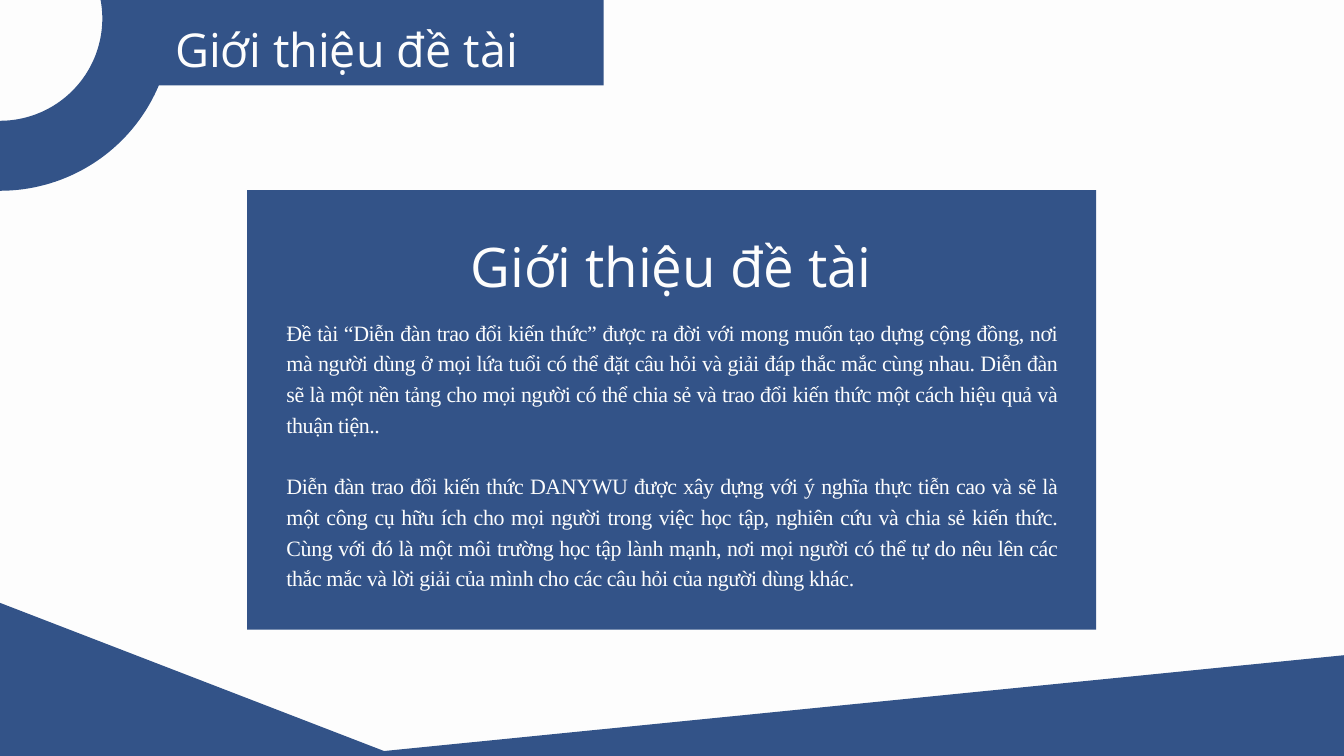
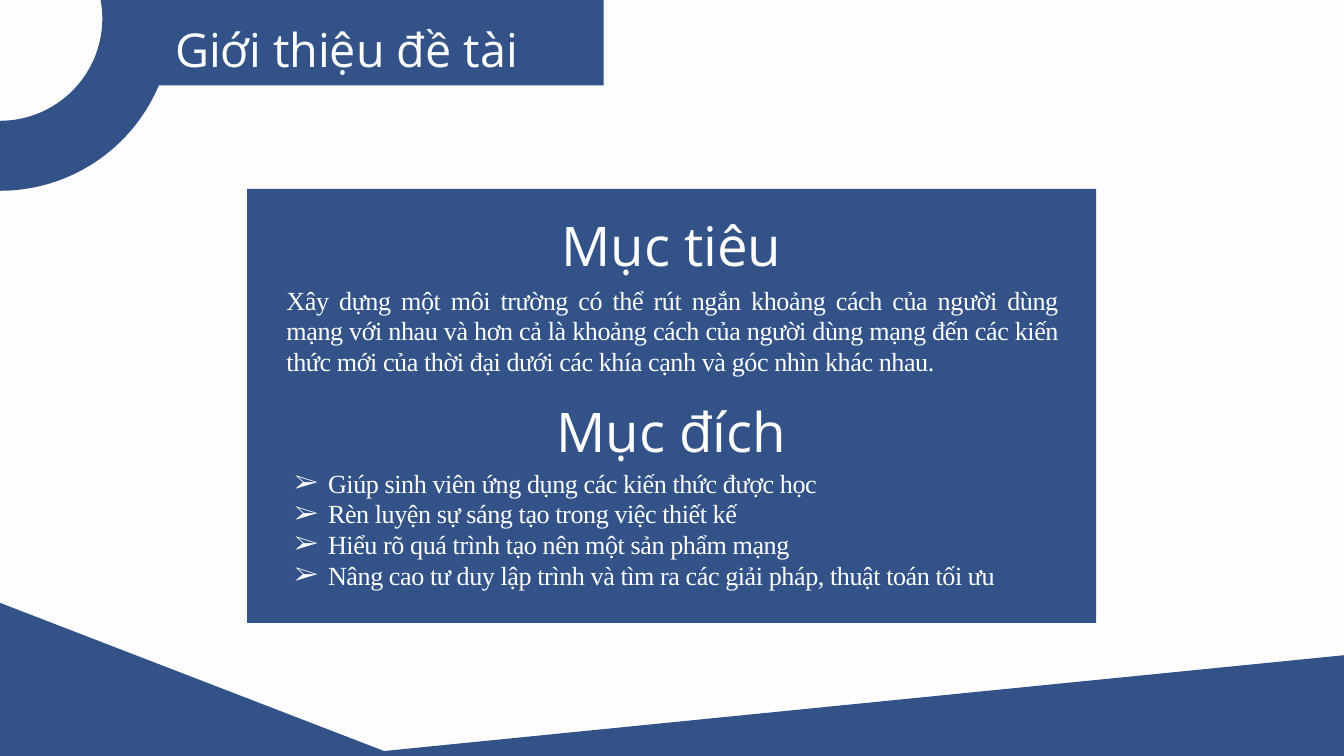
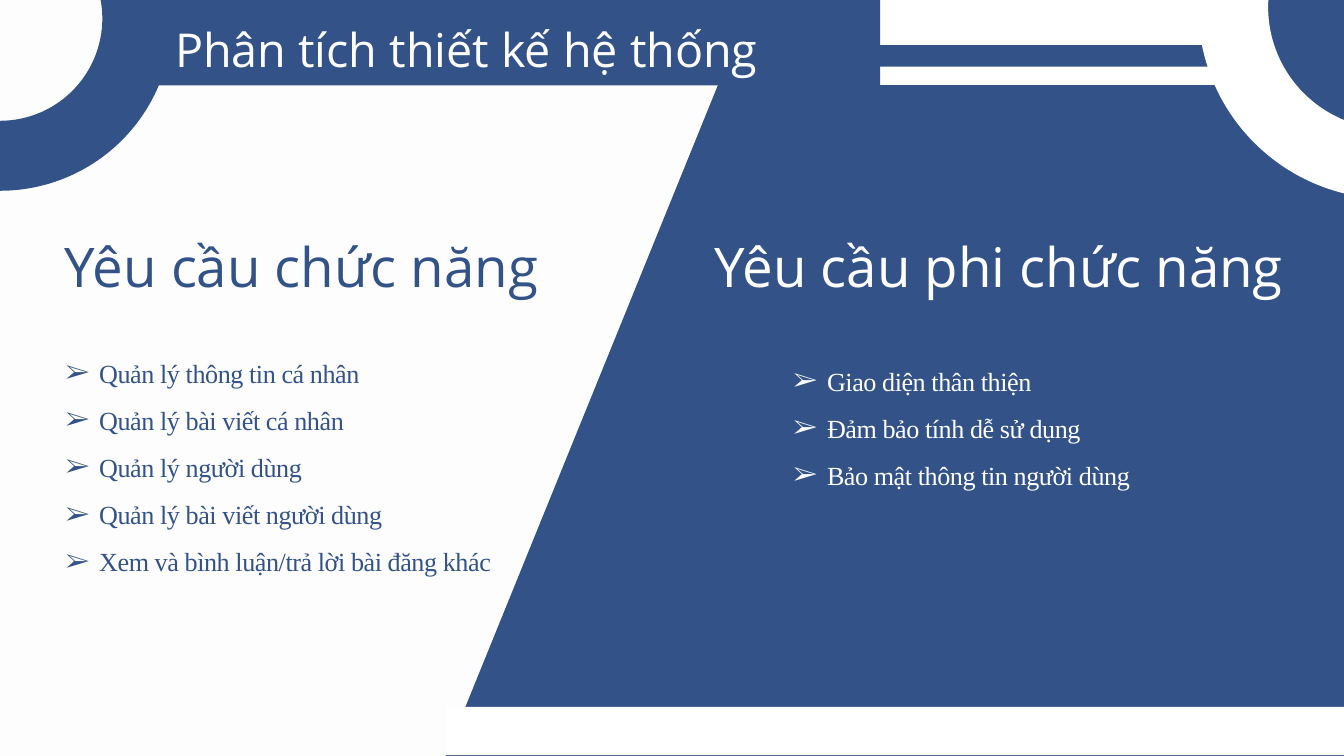
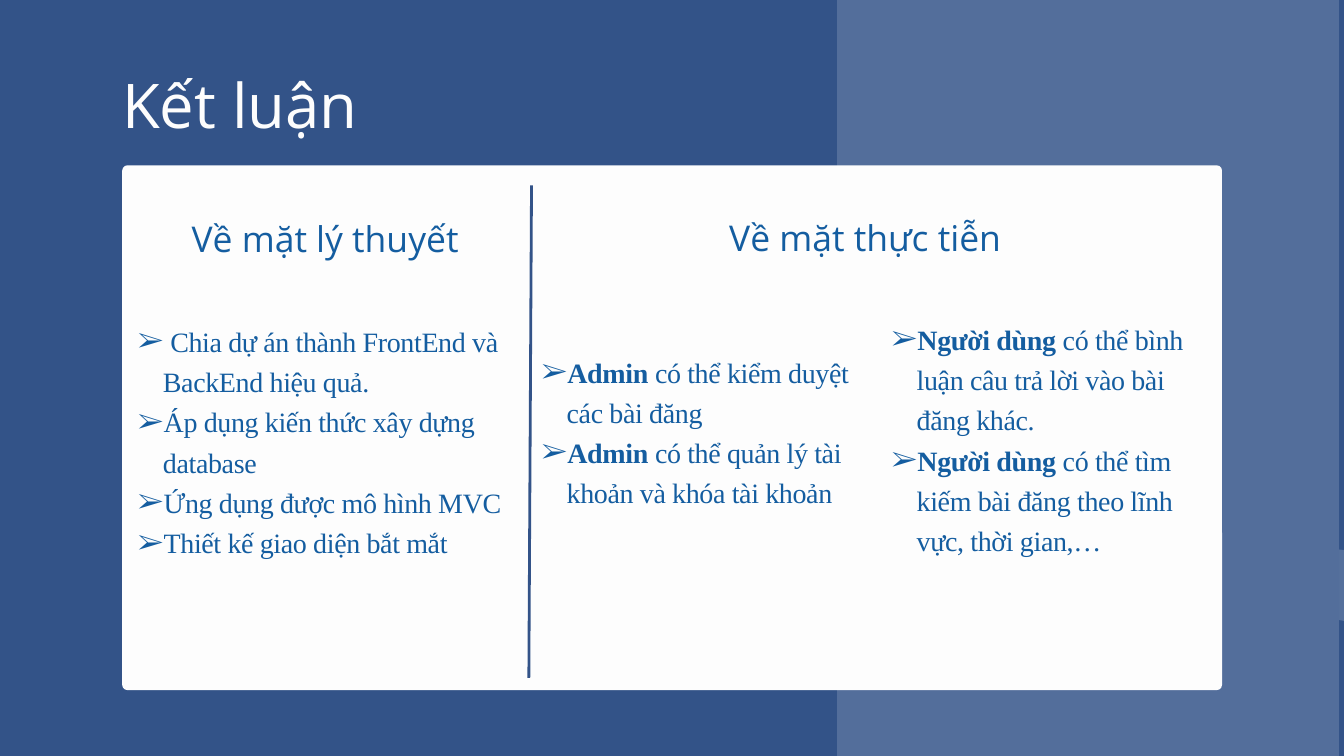
from lxml.etree import SubElement
from pptx import Presentation
from pptx.dml.color import RGBColor
from pptx.enum.shapes import MSO_CONNECTOR, MSO_SHAPE
from pptx.enum.text import MSO_AUTO_SIZE, PP_ALIGN
from pptx.oxml.ns import qn
from pptx.util import Cm, Pt

NAVY = RGBColor(0x33, 0x53, 0x88)
STEEL = RGBColor(0x53, 0x6E, 0x9B)
BLUE = RGBColor(0x14, 0x5D, 0xA0)
PAPER = RGBColor(0xFD, 0xFD, 0xFD)
WHITE = RGBColor(0xFF, 0xFF, 0xFF)

SANS, SERIF = "Open Sans", "Times New Roman"
WIDTH, HEIGHT = 50.8, 28.58
CARD_X, CARD_W = 9.34, 32.09
BODY_X, BODY_W = 10.83, 29.16
HEAD_Y, HEAD_H = 8.38, 2.72
RING_WIDTH = Pt(75)


def style(name, size, align, spacing, tracking=0, indent=0, after=0):
    return {
        "font": {"name": name, "size": Pt(size)},
        "para": {"alignment": align, "line_spacing": spacing, "space_after": Pt(after)},
        "tracking": tracking,
        "indent": indent,
    }


STYLES = {
    "header": style(SANS, 50, PP_ALIGN.LEFT, Pt(82)),
    "heading": style(SANS, 58.5, PP_ALIGN.CENTER, Pt(82)),
    "title": style(SANS, 66, PP_ALIGN.LEFT, Pt(92.5)),
    "column": style(SANS, 38, PP_ALIGN.CENTER, Pt(37.6)),
    "intro": style(SERIF, 23.5, PP_ALIGN.JUSTIFY, Pt(32.9), -46, after=32.9),
    "body": style(SERIF, 28, PP_ALIGN.JUSTIFY, Pt(32.9), -46),
    "goals": style(SERIF, 28, PP_ALIGN.JUSTIFY, Pt(32.9), -46, 1.27),
    "needs": style(SERIF, 28, PP_ALIGN.JUSTIFY, 1.5, -46, 1.27),
    "results": style(SERIF, 30, PP_ALIGN.LEFT, 1.2, -40, 0.95),
}

TOPIC = "Giới thiệu đề tài"
INTRO = [
    "Đề tài “Diễn đàn trao đổi kiến thức” được ra đời với mong muốn tạo dựng cộng đồng, "
    "nơi mà người dùng ở mọi lứa tuổi có thể đặt câu hỏi và giải đáp thắc mắc cùng nhau. "
    "Diễn đàn sẽ là một nền tảng cho mọi người có thể chia sẻ và trao đổi kiến thức một "
    "cách hiệu quả và thuận tiện..",
    "Diễn đàn trao đổi kiến thức DANYWU được xây dựng với ý nghĩa thực tiễn cao và sẽ là "
    "một công cụ hữu ích cho mọi người trong việc học tập, nghiên cứu và chia sẻ kiến thức. "
    "Cùng với đó là một môi trường học tập lành mạnh, nơi mọi người có thể tự do nêu lên các "
    "thắc mắc và lời giải của mình cho các câu hỏi của người dùng khác.",
]
AIM = [
    "Xây dựng một môi trường có thể rút ngắn khoảng cách của người dùng mạng với nhau và hơn "
    "cả là khoảng cách của người dùng mạng đến các kiến thức mới của thời đại dưới các khía "
    "cạnh và góc nhìn khác nhau.",
]
GOALS = [
    "Giúp sinh viên ứng dụng các kiến thức được học",
    "Rèn luyện sự sáng tạo trong việc thiết kế",
    "Hiểu rõ quá trình tạo nên một sản phẩm mạng",
    "Nâng cao tư duy lập trình và tìm ra các giải pháp, thuật toán tối ưu",
]
FUNCTIONAL = [
    "Quản lý thông tin cá nhân",
    "Quản lý bài viết cá nhân",
    "Quản lý người dùng",
    "Quản lý bài viết người dùng",
    "Xem và bình luận/trả lời bài đăng khác",
]
NON_FUNCTIONAL = [
    "Giao diện thân thiện",
    "Đảm bảo tính dễ sử dụng",
    "Bảo mật thông tin người dùng",
]
THEORY = [
    " Chia dự án thành FrontEnd và BackEnd hiệu quả.",
    "Áp dụng kiến thức xây dựng database",
    "Ứng dụng được mô hình MVC",
    "Thiết kế giao diện bắt mắt",
]
ADMIN = [
    ("Admin ", "có thể kiểm duyệt các bài đăng"),
    ("Admin ", "có thể quản lý tài khoản và khóa tài khoản"),
]
USER = [
    ("Người dùng ", "có thể bình luận câu trả lời vào bài đăng khác."),
    ("Người dùng ", "có thể tìm kiếm bài đăng theo lĩnh vực, thời gian,…"),
]


def add_slide(prs, color):
    s = prs.slides.add_slide(prs.slide_layouts[6])
    s.background.fill.solid()
    s.background.fill.fore_color.rgb = color
    return s


def add_block(s, color, x, y, w, h, rotation=0, kind=MSO_SHAPE.RECTANGLE):
    sp = s.shapes.add_shape(kind, Cm(x), Cm(y), Cm(w), Cm(h))
    sp.shadow.inherit = False
    sp.rotation = rotation
    sp.fill.solid()
    sp.fill.fore_color.rgb = color
    sp.line.fill.background()
    return sp


def add_ring(s, color, x, y, size):
    sp = add_block(s, color, x, y, size, size, kind=MSO_SHAPE.OVAL)
    sp.fill.background()
    sp.line.color.rgb = color
    sp.line.width = RING_WIDTH
    return sp


def add_text(s, name, color, x, y, w, h, paragraphs):
    look = STYLES[name]
    tf = s.shapes.add_textbox(Cm(x), Cm(y), Cm(w), Cm(h)).text_frame
    frame = {"word_wrap": True, "auto_size": MSO_AUTO_SIZE.SHAPE_TO_FIT_TEXT}
    frame.update({f"margin_{side}": 0 for side in ("left", "top", "right", "bottom")})
    for key, value in frame.items():
        setattr(tf, key, value)
    for i, text in enumerate(paragraphs):
        p = tf.add_paragraph() if i else tf.paragraphs[0]
        for key, value in look["para"].items():
            setattr(p, key, value)
        if i == len(paragraphs) - 1:
            p.space_after = Pt(0)
        if look["indent"]:
            add_bullet(p, Cm(look["indent"]))
        lead, rest = text if isinstance(text, tuple) else ("", text)
        for part, bold in ((lead, True), (rest, False)):
            if part:
                add_run(p, part, bold, color, look)


def add_run(p, text, bold, color, look):
    r = p.add_run()
    r.text = text
    r.font.bold = bold
    r.font.color.rgb = color
    for key, value in look["font"].items():
        setattr(r.font, key, value)
    if look["tracking"]:
        r._r.get_or_add_rPr().set("spc", str(look["tracking"]))


def add_bullet(p, indent):
    pPr = p._p.get_or_add_pPr()
    pPr.set("marL", str(indent))
    pPr.set("indent", str(-indent))
    SubElement(pPr, qn("a:buFont")).set("typeface", SERIF)
    SubElement(pPr, qn("a:buChar")).set("char", "➢")


def add_corner_ring(s):
    add_ring(s, NAVY, -5.19, -4.49, 10.38)


def add_header(s, text, x, w, text_w):
    add_block(s, NAVY, x, -0.1, w, 3.33)
    add_text(s, "header", PAPER, 6.62, 0.02, text_w, HEAD_H, [text])


def add_topic_frame(s):
    add_corner_ring(s)
    add_block(s, NAVY, 27.89, 11.23, 11.02, 41.63, 84.3)
    add_block(s, NAVY, 4.75, 11.84, 11.02, 41.63, 111.1)
    add_header(s, TOPIC, 5.66, 17.16, 15.24)


def build_intro(prs):
    s = add_slide(prs, PAPER)
    add_block(s, NAVY, CARD_X, 7.19, CARD_W, 16.61)
    add_text(s, "heading", PAPER, CARD_X, HEAD_Y, CARD_W, HEAD_H, [TOPIC])
    add_text(s, "intro", PAPER, BODY_X, 11.9, BODY_W, 10.46, INTRO)
    add_topic_frame(s)


def build_goals(prs):
    s = add_slide(prs, PAPER)
    add_block(s, NAVY, CARD_X, 7.14, CARD_W, 16.41)
    for text, y in (("Mục tiêu", 7.59), ("Mục đích", 14.61)):
        add_text(s, "heading", PAPER, CARD_X, y, CARD_W, HEAD_H, [text])
    add_text(s, "body", PAPER, BODY_X, 10.76, BODY_W, 3.53, AIM)
    add_text(s, "goals", PAPER, 11.13, 17.68, 28.52, 4.7, GOALS)
    add_topic_frame(s)


def build_requirements(prs):
    s = add_slide(prs, PAPER)
    add_block(s, NAVY, 22.99, -4.52, 33.22, 42.39, 22.1)
    add_text(s, "heading", NAVY, 0.97, HEAD_Y, 20.88, HEAD_H, ["Yêu cầu chức năng"])
    add_text(s, "needs", NAVY, 2.48, 12.92, 17.86, 8.76, FUNCTIONAL)
    add_text(s, "heading", WHITE, 25.34, HEAD_Y, 24.87, HEAD_H, ["Yêu cầu phi chức năng"])
    add_text(s, "needs", WHITE, 29.99, 13.21, 15.57, 5.16, NON_FUNCTIONAL)
    add_corner_ring(s)
    add_ring(s, WHITE, 46.61, -5.66, 11.86)
    for band in ((27.1, -0.1, 20.5, 1.8), (27.2, 2.52, 20.5, 0.69), (16.84, 26.72, 36.42, 1.83)):
        add_block(s, WHITE, *band)
    add_header(s, "Phân tích thiết kế hệ thống", 5.03, 28.24, 25.07)


def build_conclusion(prs):
    s = add_slide(prs, NAVY)
    add_text(s, "title", PAPER, 4.62, 2.05, 10.67, 3.12, ["Kết luận"])
    ring = add_ring(s, WHITE, 43.26, 22.05, 13.03)
    tint = ring.line._ln.find(".//" + qn("a:srgbClr"))
    SubElement(tint, qn("a:alpha")).set("val", "16000")
    side = add_block(s, STEEL, 31.67, 0, 18.9, HEIGHT)
    side.line.color.rgb = STEEL
    side.line.width = Pt(2)
    card = add_block(s, PAPER, 4.62, 6.25, 41.57, 19.84, kind=MSO_SHAPE.ROUNDED_RECTANGLE)
    card.adjustments[0] = 0.01
    add_text(s, "results", BLUE, 5.21, 12.01, 15.01, 9.09, THEORY)
    divider = s.shapes.add_connector(
        MSO_CONNECTOR.STRAIGHT, Cm(20.09), Cm(7.01), Cm(19.99), Cm(25.63))
    divider.line.color.rgb = NAVY
    divider.line.width = Pt(3)
    SubElement(divider._element.spPr, qn("a:effectLst"))
    add_text(s, "column", BLUE, 6.48, 8.48, 11.63, 1.37, ["Về mặt lý thuyết"])
    add_text(s, "results", BLUE, 20.47, 13.17, 11.91, 6.02, ADMIN)
    add_text(s, "column", BLUE, 26.85, 8.46, 11.71, 1.37, ["Về mặt thực tiễn"])
    add_text(s, "results", BLUE, 33.7, 11.93, 11.56, 9.09, USER)


def main():
    prs = Presentation()
    prs.slide_width, prs.slide_height = Cm(WIDTH), Cm(HEIGHT)
    for build in (build_intro, build_goals, build_requirements, build_conclusion):
        build(prs)
    prs.save("out.pptx")


if __name__ == "__main__":
    main()
